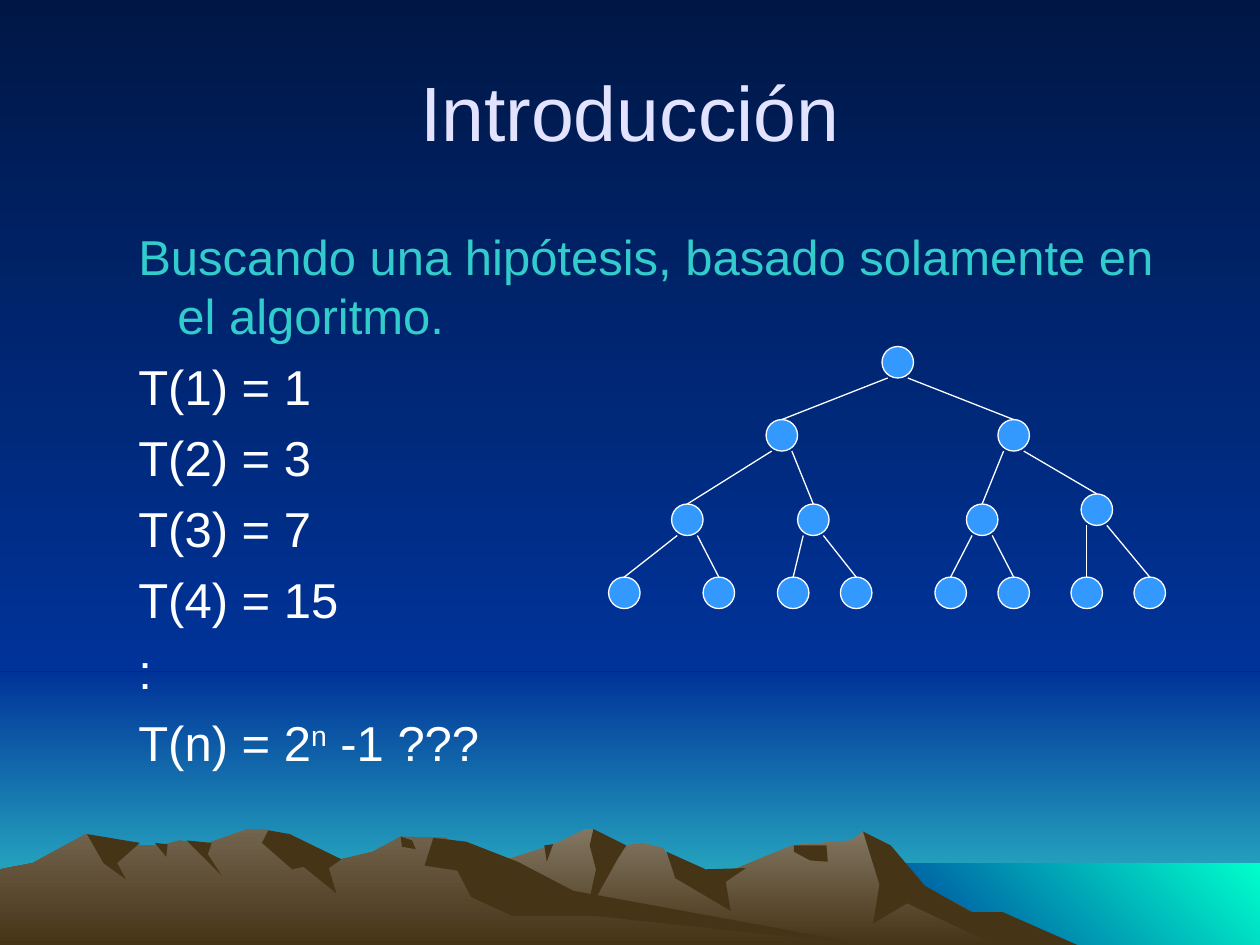
"""Build the slide that grows a hypothesis from a binary tree above a mountain scene."""
from pptx import Presentation
from pptx.dml.color import RGBColor
from pptx.enum import shapes as kinds, text as texts
from pptx.oxml.ns import qn
from pptx.util import Inches, Pt

NIGHT, BLUE, TEAL, EARTH, WHITE = "001746", "003399", "33CCCC", "463416", "FFFFFF"
SKY = (NIGHT, BLUE, 90)
BANDS = [
    ((0, 5.33, 10, 2.17), (BLUE, TEAL, 90)),
    ((0, 0, 10, 5.33), SKY),
    ((6.83, 6.85, 3.17, 0.67), ("00FFCC", BLUE, 135)),
]
PEAKS = [
    (("837763", EARTH, 90), [
        (8.2, 7.5), (7.23, 6.98), (6.85, 6.6), (6.76, 6.67), (6.29, 6.71), (5.66, 6.97),
        (5.36, 6.9), (5.26, 6.73), (5.09, 6.69), (4.86, 6.73), (4.71, 6.58), (4.65, 6.58),
        (4.38, 6.71), (3.94, 6.85), (2.58, 7.5)]),
    (EARTH, [
        (7.96, 7.24), (7.71, 7.24), (7.34, 7.03), (7.07, 6.71), (6.85, 6.6), (6.98, 7.02),
        (6.93, 7.33), (7.2, 7.17), (7.9, 7.5), (8.55, 7.5)]),
    (EARTH, [
        (4.71, 6.58), (4.68, 6.71), (4.73, 6.9), (4.65, 7.27), (4.9, 6.82), (4.97, 6.71)]),
    (EARTH, [(5.29, 6.76), (5.36, 6.97), (5.8, 7.23), (5.76, 7), (5.92, 6.89), (5.6, 6.9)]),
    (EARTH, [(6.3, 6.71), (6.3, 6.76), (6.43, 6.83), (6.57, 6.84), (6.56, 6.71)]),
    (EARTH, [(4.32, 6.71), (4.39, 6.7), (4.34, 6.84)]),
    (("72644E", EARTH, 90), [
        (6.9, 7.5), (4.32, 7.12), (3.54, 6.65), (3.18, 6.64), (2.96, 6.76), (2.71, 6.82),
        (2.36, 6.81), (2.12, 6.58), (1.96, 6.58), (1.6, 6.71), (1.43, 6.67), (1.28, 6.71),
        (0.94, 6.71), (0.68, 6.62), (0.26, 6.85), (0, 6.9), (0, 7.5)]),
    (EARTH, [
        (2.13, 6.59), (2.08, 6.69), (2.32, 6.9), (2.41, 6.88), (2.67, 7.09), (2.61, 6.89),
        (2.71, 6.82), (2.3, 6.62)]),
    (EARTH, [
        (3.7, 6.68), (3.44, 6.65), (3.37, 6.87), (3.63, 6.91), (3.74, 7.12), (4.07, 7.27),
        (4.72, 7.27), (6.9, 7.5), (4.55, 7.07), (4.11, 6.84)]),
    (EARTH, [(3.18, 6.64), (3.27, 6.67), (3.3, 6.74), (3.19, 6.72)]),
    (EARTH, [(1.48, 6.67), (1.68, 6.69), (1.65, 6.78), (1.76, 6.95)]),
    (EARTH, [(1.23, 6.69), (1.33, 6.7), (1.32, 6.8)]),
    (EARTH, [
        (0.69, 6.62), (1.11, 6.69), (0.93, 6.85), (1, 6.98), (0.82, 6.85), (0.77, 6.76)]),
]
TITLE = [["Introducción"]]
BODY = [
    ["Buscando una hipótesis, basado solamente en el algoritmo."],
    ["T(1) = 1"], ["T(2) = 3"], ["T(3) = 7"], ["T(4) = 15"], [":"],
    ["T(n) = 2", "n", " -1 ???"],
]
NODE, FOOT = 0.25, 0.08
LEVELS = [
    (2.75, [7]),
    (3.33, [6.08, 7.92]),
    (4, [5.33, 6.33, 7.67, 8.58]),
    (4.58, [4.83, 5.58, 6.17, 6.67, 7.42, 7.92, 8.5, 9]),
]
RAISED = {8.58: 3.92}


def color(code):
    return RGBColor.from_string(code)


def paint(fill, style):
    if isinstance(style, str):
        fill.solid()
        fill.fore_color.rgb = color(style)
        return
    *ends, angle = style
    fill.gradient()
    fill.gradient_angle = 360 - angle
    for stop, code in zip(fill.gradient_stops, ends):
        stop.color.rgb = color(code)


def trace(line, code):
    line.color.rgb = color(code)
    line.width = Pt(0.74)


def dress(shape, style, edge=None):
    shape.shadow.inherit = False
    paint(shape.fill, style)
    if edge:
        trace(shape.line, edge)
    else:
        shape.line.fill.background()


def write(box, lines, size, tints):
    frame = slide.shapes.add_textbox(*map(Inches, box)).text_frame
    frame.word_wrap = True
    for i, parts in enumerate(lines):
        para = frame.add_paragraph() if i else frame.paragraphs[0]
        for part in parts:
            run = para.add_run()
            run.text = part
            run.font.name = "Arial"
            run.font.size = Pt(size)
            run.font.color.rgb = color(tints[min(i, len(tints) - 1)])
    return frame


deck = Presentation()
deck.slide_width, deck.slide_height = Inches(10), Inches(7.5)
slide = deck.slides.add_slide(deck.slide_layouts[6])
paint(slide.background.fill, SKY)

for box, style in BANDS:
    band = slide.shapes.add_shape(kinds.MSO_SHAPE.RECTANGLE, *map(Inches, box))
    dress(band, style)

for style, points in PEAKS:
    start, *rest = [(Inches(x), Inches(y)) for x, y in points]
    ridge = slide.shapes.build_freeform(*start)
    ridge.add_line_segments(rest)
    dress(ridge.convert_to_shape(), style)

head = write((0.5, 0.25, 9, 1.25), TITLE, 44, ["E3E3FF"])
head.vertical_anchor = texts.MSO_ANCHOR.MIDDLE
head.paragraphs[0].alignment = texts.PP_ALIGN.CENTER

body = write((0.5, 1.75, 9.08, 4.92), BODY, 28, [TEAL, WHITE])
for para in body.paragraphs:
    para.space_before = Pt(7)
    props = para._p.get_or_add_pPr()
    props.set("marL", str(Inches(0.81)))
    props.set("indent", str(Inches(-0.31)))
power = body.paragraphs[-1].runs[1]
power._r.get_or_add_rPr().set("baseline", "30000")

nodes = [(x, RAISED.get(x, top)) for top, row in LEVELS for x in row]
for x, y in nodes:
    node = slide.shapes.add_shape(kinds.MSO_SHAPE.OVAL, *map(Inches, (x, y, NODE, NODE)))
    dress(node, "3399FF", WHITE)

for i, (x, y) in enumerate(nodes[1:]):
    left, top = nodes[i // 2]
    side = FOOT if i % 2 else -FOOT
    ends = (left + NODE / 2 + side, top + NODE, x + NODE / 2, y)
    edge = slide.shapes.add_connector(kinds.MSO_CONNECTOR.STRAIGHT, *map(Inches, ends))
    trace(edge.line, WHITE)
    props = edge._element.spPr
    props.append(props.makeelement(qn("a:effectLst"), {}))

deck.save("out.pptx")
